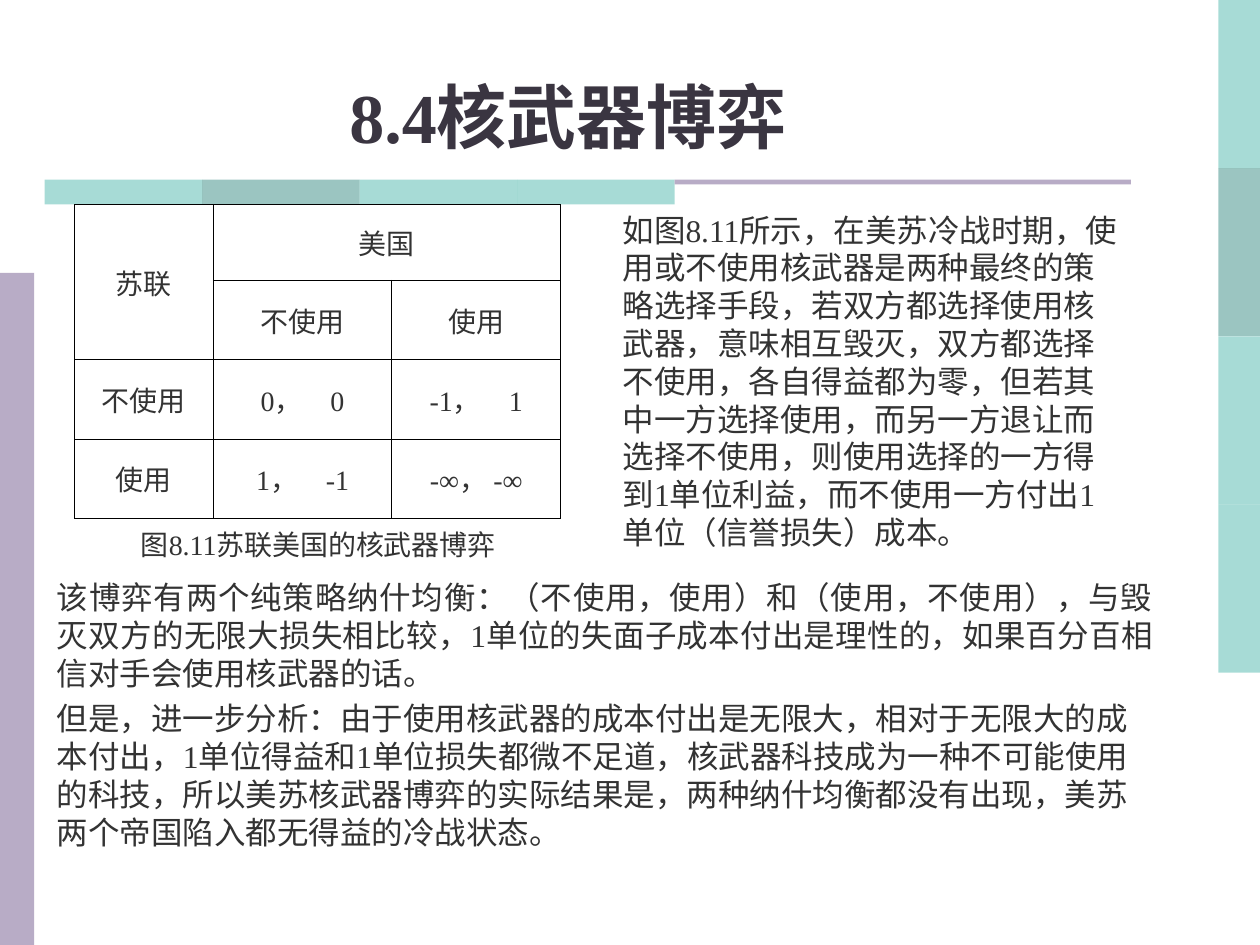
from lxml import etree
from pptx import Presentation
from pptx.dml.color import RGBColor
from pptx.enum import shapes, text
from pptx.oxml.ns import qn
from pptx.util import Cm, Pt

TEAL = RGBColor(0x51, 0xB9, 0xAF)
DARK_TEAL = RGBColor(0x39, 0x8D, 0x85)
LILAC = RGBColor(0xB8, 0xAC, 0xC6)
INK = RGBColor(0x33, 0x33, 0x33)
TITLE_INK = RGBColor(0x3A, 0x35, 0x41)
FONT = "Times New Roman"
BAND_COLORS = [TEAL, DARK_TEAL, TEAL, TEAL]

PAYOFFS = [
    ["苏联", "美国", ""],
    ["", "不使用", "使用"],
    ["不使用", "0，　0", "-1，　1"],
    ["使用", "1，　-1", "-∞， -∞"],
]
COL_WIDTHS = [2.8, 3.6, 3.4]
ROW_HEIGHTS = [1.53, 1.6, 1.6, 1.6]

COLD_WAR = (
    "如图8.11所示，在美苏冷战时期，使用或不使用核武器是两种最终的策略选择手段，"
    "若双方都选择使用核武器，意味相互毁灭，双方都选择不使用，各自得益都为零，"
    "但若其中一方选择使用，而另一方退让而选择不使用，则使用选择的一方得到1单位利益，"
    "而不使用一方付出1单位（信誉损失）成本。"
)
EQUILIBRIA = (
    "该博弈有两个纯策略纳什均衡：（不使用，使用）和（使用，不使用），"
    "与毁灭双方的无限大损失相比较，1单位的失面子成本付出是理性的，"
    "如果百分百相信对手会使用核武器的话。"
)
ANALYSIS = (
    "但是，进一步分析：由于使用核武器的成本付出是无限大，相对于无限大的成本付出，"
    "1单位得益和1单位损失都微不足道，核武器科技成为一种不可能使用的科技，"
    "所以美苏核武器博弈的实际结果是，两种纳什均衡都没有出现，"
    "美苏两个帝国陷入都无得益的冷战状态。"
)


def set_font(p, size, color=INK, bold=False):
    p.font.name = FONT
    p.font.size = Pt(size)
    p.font.bold = bold
    p.font.color.rgb = color


def add_block(s, x, y, w, h, color, alpha=None):
    sp = s.shapes.add_shape(shapes.MSO_SHAPE.RECTANGLE, Cm(x), Cm(y), Cm(w), Cm(h))
    sp.shadow.inherit = False
    sp.line.fill.background()
    sp.fill.solid()
    sp.fill.fore_color.rgb = color
    if alpha is not None:
        clr = sp.fill._xPr.find(qn("a:solidFill"))[0]
        etree.SubElement(clr, qn("a:alpha"), val=str(alpha * 1000))


def add_text(s, x, y, w, h, paragraphs, size, wrap=True):
    tf = s.shapes.add_textbox(Cm(x), Cm(y), Cm(w), Cm(h)).text_frame
    tf.word_wrap = wrap
    tf.text = "\n".join(paragraphs)
    for p in tf.paragraphs:
        set_font(p, size)
    return tf


def set_title(s, title):
    sp = s.shapes.title
    sp.left, sp.top, sp.width, sp.height = Cm(0), Cm(1.12), Cm(22.9), Cm(2.18)
    tf = sp.text_frame
    tf.text = title
    tf.vertical_anchor = text.MSO_ANCHOR.BOTTOM
    p = tf.paragraphs[0]
    p.alignment = text.PP_ALIGN.CENTER
    set_font(p, 40, TITLE_INK, True)


def add_borders(cell):
    tcPr = cell._tc.get_or_add_tcPr()
    for i, side in enumerate("LRTB"):
        ln = etree.Element(qn(f"a:ln{side}"), w=str(Pt(0.45)))
        fill = etree.SubElement(ln, qn("a:solidFill"))
        etree.SubElement(fill, qn("a:srgbClr"), val="000000")
        tcPr.insert(i, ln)


def add_payoff_table(s, x, y):
    frame = s.shapes.add_table(len(ROW_HEIGHTS), len(COL_WIDTHS), Cm(x), Cm(y),
                               Cm(sum(COL_WIDTHS)), Cm(sum(ROW_HEIGHTS)))
    table = frame.table
    table.first_row = table.horz_banding = False
    for col, width in zip(table.columns, COL_WIDTHS):
        col.width = Cm(width)
    for row, height in zip(table.rows, ROW_HEIGHTS):
        row.height = Cm(height)
    table.cell(0, 0).merge(table.cell(1, 0))
    table.cell(0, 1).merge(table.cell(0, 2))
    for r, values in enumerate(PAYOFFS):
        for c, value in enumerate(values):
            cell = table.cell(r, c)
            cell.fill.background()
            add_borders(cell)
            cell.vertical_anchor = text.MSO_ANCHOR.MIDDLE
            if value:
                cell.text = value
            p = cell.text_frame.paragraphs[0]
            p.alignment = text.PP_ALIGN.CENTER
            set_font(p, 16)


def main():
    prs = Presentation()
    prs.slide_width, prs.slide_height = Cm(25.4), Cm(19.05)
    s = prs.slides.add_slide(prs.slide_layouts[5])

    # Side bars and title rule
    for i, color in enumerate(BAND_COLORS):
        add_block(s, 24.56, i * 3.39, 0.84, 3.39, color, 50)
        add_block(s, 0.9 + i * 3.175, 3.62, 3.175, 0.5, color, 50)
    add_block(s, 0, 5.5, 0.69, 13.55, LILAC)
    add_block(s, 13.6, 3.62, 9.2, 0.1, LILAC)

    set_title(s, "8.4核武器博弈")

    # Payoff matrix with caption
    add_payoff_table(s, 1.5, 4.12)
    add_text(s, 2.59, 10.52, 7.95, 0.94, ["图8.11苏联美国的核武器博弈"], 16, wrap=False)

    # Explanations
    add_text(s, 12.3, 4.12, 10.6, 7.1, [COLD_WAR], 18)
    tf = add_text(s, 0.9, 11.53, 22.6, 5.77, [EQUILIBRIA, ANALYSIS], 18)
    tf.paragraphs[0].alignment = text.PP_ALIGN.JUSTIFY
    tf.paragraphs[1].space_before = Pt(4.5)

    prs.save("out.pptx")


if __name__ == "__main__":
    main()
